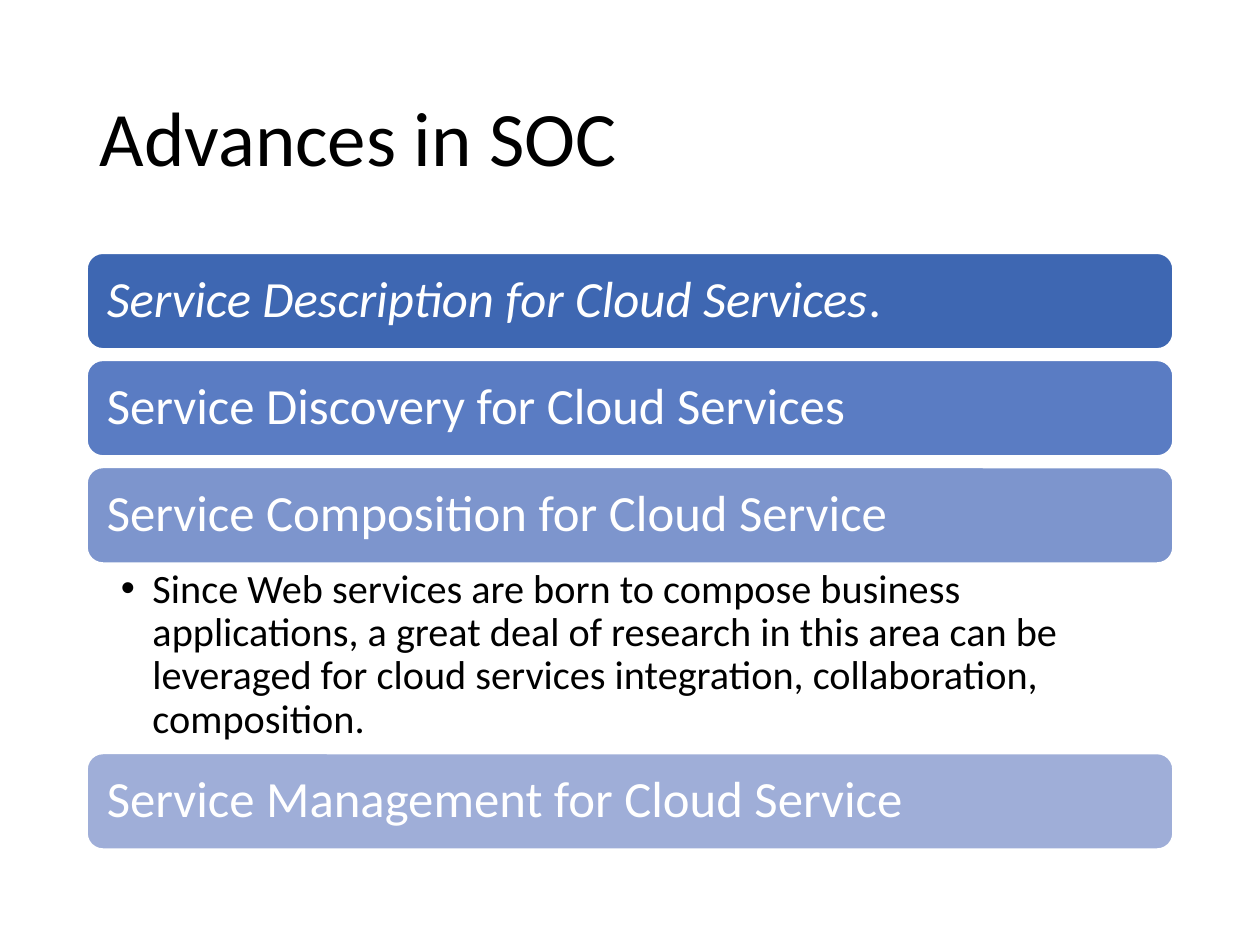
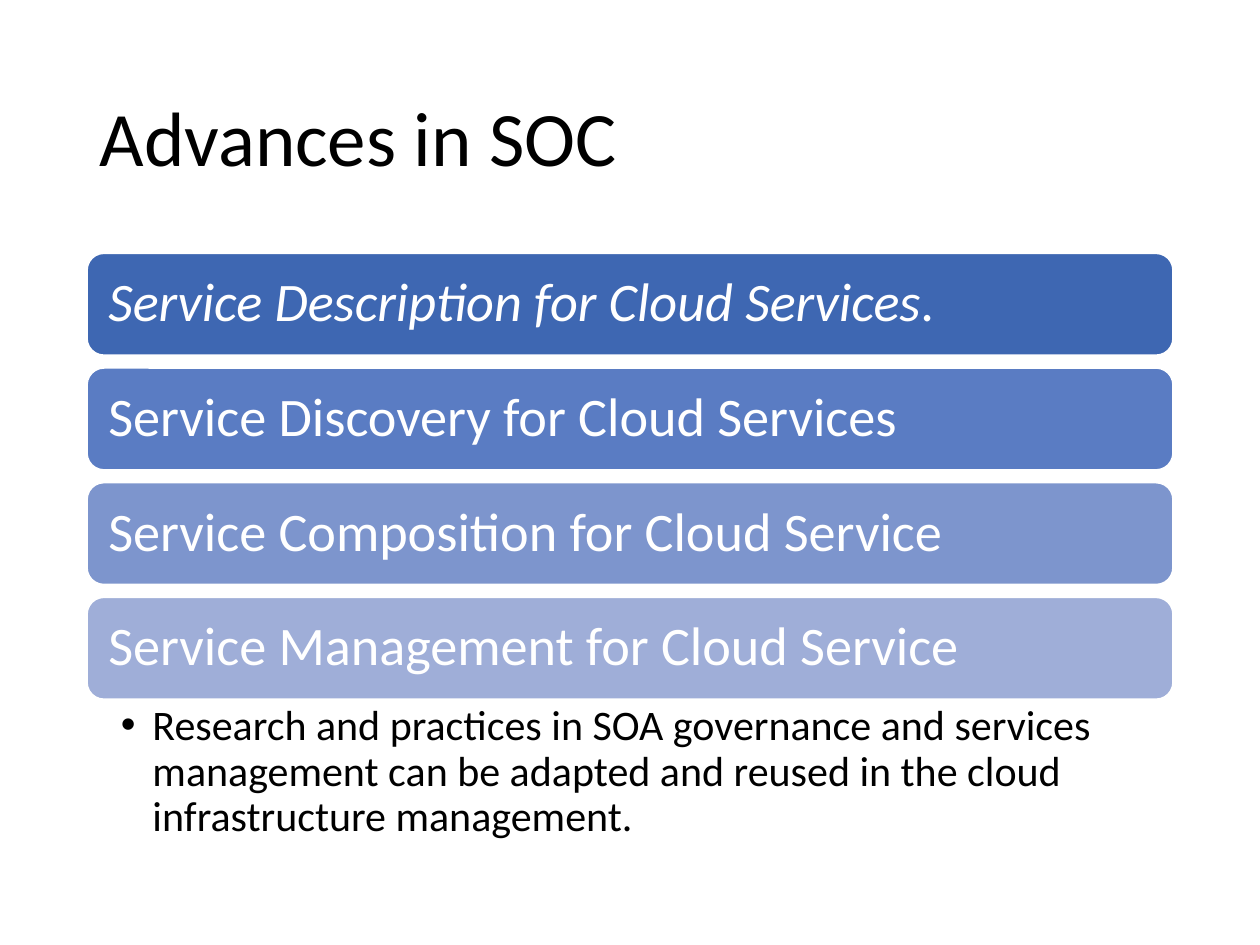
from lxml import etree
from pptx import Presentation
from pptx.dml.color import RGBColor
from pptx.enum.shapes import MSO_SHAPE
from pptx.enum.text import MSO_ANCHOR, MSO_AUTO_SIZE, PP_ALIGN
from pptx.oxml.ns import qn
from pptx.util import Inches, Pt

ROUNDED = MSO_SHAPE.ROUNDED_RECTANGLE
MIDDLE, TOP = MSO_ANCHOR.MIDDLE, MSO_ANCHOR.TOP
LEFT = PP_ALIGN.LEFT
NO_FIT = MSO_AUTO_SIZE.NONE
TITLE_ONLY = 5

HEADING = "Advances in SOC"
TOPICS = [
    ([("Service Description for Cloud Services", True), (".", False)], "3E67B2"),
    ([("Service Discovery for Cloud Services", False)], "5A7CC3"),
    ([("Service Composition for Cloud Service", False)], "7D95CD"),
    ([("Service Management for Cloud Service", False)], "9FAED8"),
]
COMPOSITION = (
    "Since Web services are born to compose business applications, a great deal of "
    "research in this area can be leveraged for cloud services integration, "
    "collaboration, composition."
)
MANAGEMENT = (
    "Research and practices in SOA governance and services management can be adapted "
    "and reused in the cloud infrastructure management."
)


def color(value):
    """Turn a hex string into a colour."""
    return RGBColor.from_string(value)


class TopicDeck:
    """Holds the shared style, the deck and the current page."""

    font = "Calibri"
    ink, paper = "000000", "FFFFFF"
    left, width = 0.69, 8.62
    title_top, title_height = 0.4, 1.45
    list_top = 2.01

    def __init__(self):
        """Start an empty deck."""
        self.deck = Presentation()
        self.deck.slide_width, self.deck.slide_height = Inches(10), Inches(7.5)
        self.page = None

    def area(self, top, height):
        """Return the left, top, width and height of a full-width row."""
        return [Inches(n) for n in (self.left, top, self.width, height)]

    def frame(self, box, anchor, insets):
        """Set up the text frame of a box and return it."""
        frame = box.text_frame
        frame.word_wrap = True
        frame.auto_size = NO_FIT
        frame.vertical_anchor = anchor
        (frame.margin_left, frame.margin_top,
         frame.margin_right, frame.margin_bottom) = [Inches(n) for n in insets]
        return frame

    def style(self, para, size, ink):
        """Format a paragraph in the deck's font."""
        para.alignment = LEFT
        para.line_spacing = 0.9
        para.font.name = self.font
        para.font.size = Pt(size)
        para.font.color.rgb = color(ink)

    def add_page(self, heading):
        """Add a page with its title."""
        self.page = self.deck.slides.add_slide(self.deck.slide_layouts[TITLE_ONLY])
        title = self.page.shapes.title
        title.left, title.top, title.width, title.height = self.area(
            self.title_top, self.title_height)
        frame = self.frame(title, MIDDLE, (0.1, 0.05, 0.1, 0.05))
        frame.text = heading
        self.style(frame.paragraphs[0], 44, self.ink)

    def add_band(self, spans, fill, top, height, size, inset):
        """Add a rounded band with a topic in it."""
        band = self.page.shapes.add_shape(ROUNDED, *self.area(top, height))
        band.shadow.inherit = False
        band.fill.solid()
        band.fill.fore_color.rgb = color(fill)
        band.line.color.rgb = color(self.paper)
        band.line.width = Pt(1)
        para = self.frame(band, MIDDLE, [inset] * 4).paragraphs[0]
        self.style(para, size, self.paper)
        for text, italic in spans:
            span = para.add_run()
            span.text = text
            span.font.italic = italic

    def add_detail(self, text, top, height, size):
        """Add a bulleted explanation below a band."""
        box = self.page.shapes.add_textbox(*self.area(top, height))
        para = self.frame(box, TOP, (0.27, 0.04, 0.23, 0.04)).paragraphs[0]
        para.text = text
        props = para._p.get_or_add_pPr()
        props.set("marL", str(Inches(0.25)))
        props.set("indent", str(-Inches(0.25)))
        etree.SubElement(props, qn("a:buFont")).set("typeface", "Arial")
        etree.SubElement(props, qn("a:buChar")).set("char", "•")
        self.style(para, size, self.ink)

    def add_topics(self, detailed, detail, detail_height, detail_size,
                   band_height, gap, band_size, inset):
        """Stack the topic bands, with a detail in place of one gap."""
        top = self.list_top
        for index, (spans, fill) in enumerate(TOPICS):
            self.add_band(spans, fill, top, band_height, band_size, inset)
            top += band_height
            if index == detailed:
                self.add_detail(detail, top, detail_height, detail_size)
                top += detail_height
            else:
                top += gap


def main():
    """Build both pages and save the deck."""
    topics = TopicDeck()
    topics.add_page(HEADING)
    topics.add_topics(2, COMPOSITION, 1.51, 23,
                      band_height=0.76, gap=0.09, band_size=29, inset=0.12)
    topics.add_page(HEADING)
    topics.add_topics(3, MANAGEMENT, 1.19, 24,
                      band_height=0.81, gap=0.1, band_size=31, inset=0.13)
    topics.deck.save("out.pptx")


if __name__ == "__main__":
    main()
